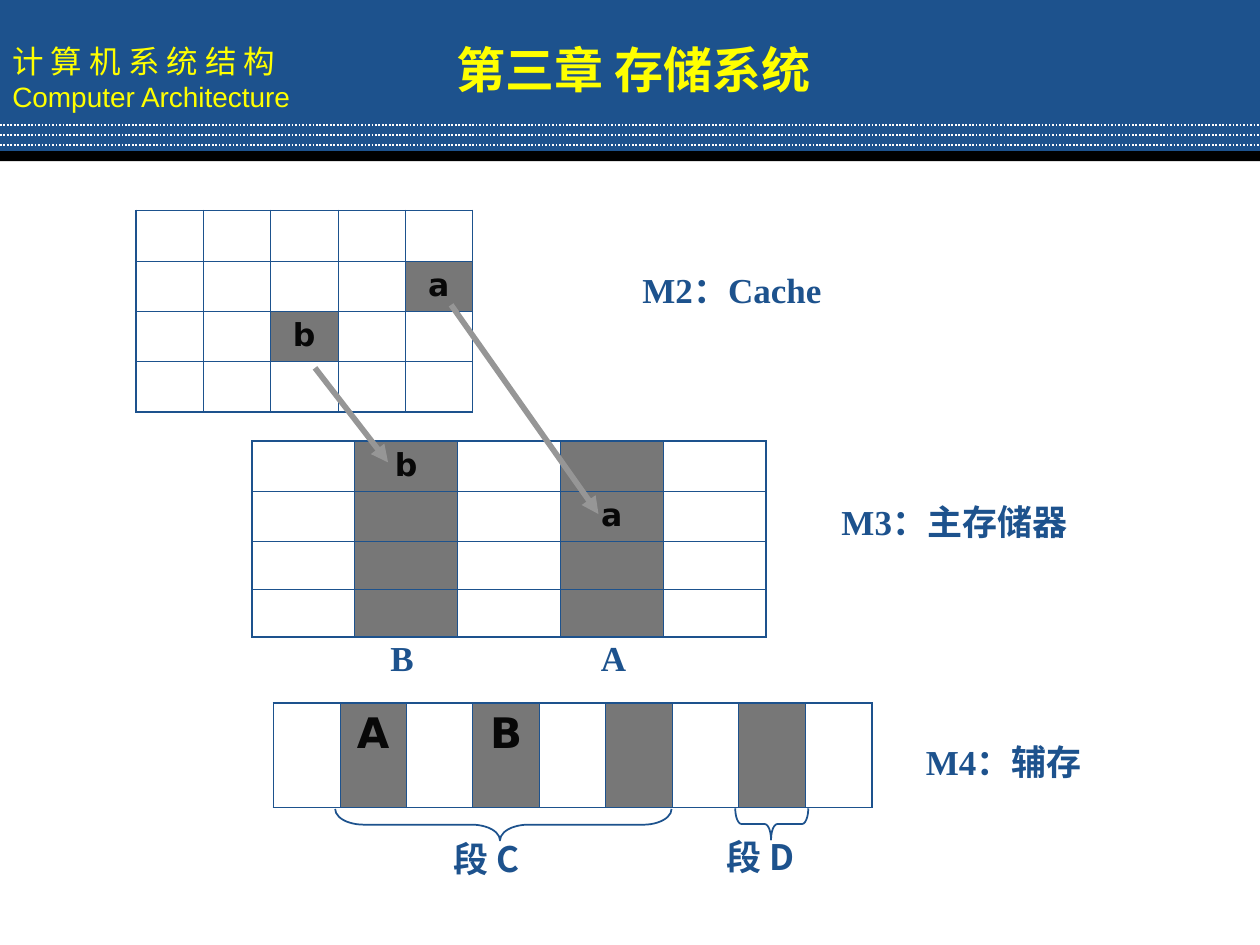
import pptx
import pptx.util
import pptx.dml.color
import pptx.enum.dml
import pptx.enum.shapes
import pptx.enum.text
import pptx.oxml.ns
from lxml import etree

Inches = pptx.util.Inches
Pt = pptx.util.Pt
RGBColor = pptx.dml.color.RGBColor
ALIGN = pptx.enum.text.PP_ALIGN
ANCHOR = pptx.enum.text.MSO_ANCHOR
FIT = pptx.enum.text.MSO_AUTO_SIZE
SHAPE = pptx.enum.shapes.MSO_SHAPE
qn = pptx.oxml.ns.qn

BLUE = RGBColor(0x1D, 0x52, 0x8D)
YELLOW = RGBColor(0xFF, 0xFF, 0x00)
WHITE = RGBColor(0xFF, 0xFF, 0xFF)
BLACK = RGBColor(0x00, 0x00, 0x00)
INK = RGBColor(0x08, 0x08, 0x08)
GRAY = RGBColor(0x77, 0x77, 0x77)
SILVER = RGBColor(0x96, 0x96, 0x96)

HAN = "Noto Sans CJK SC"
SERIF = "Times New Roman"
THIN, THICK = 0.45, 1.08


def inch(*nums):
    return [Inches(num) for num in nums]


def put(frame, text, font=HAN, size=20, color=BLUE, bold=False,
        align=ALIGN.LEFT, more=False):
    """Write one formatted paragraph, or one more after those there."""
    para = frame.add_paragraph() if more else frame.paragraphs[0]
    para.alignment = align
    run = para.add_run()
    run.text = text
    run.font.name = font
    run.font.size = Pt(size)
    run.font.bold = bold
    run.font.color.rgb = color
    # East Asian glyphs need their own typeface
    mark = etree.SubElement(run.font.fill._xPr, qn("a:ea"))
    mark.set("typeface", HAN)


def add_bar(slide, box, color):
    bar = slide.shapes.add_shape(SHAPE.RECTANGLE, *inch(*box))
    bar.shadow.inherit = False
    bar.fill.solid()
    bar.fill.fore_color.rgb = color
    bar.line.fill.background()
    return bar


def add_line(slide, start, end, color, width):
    kind = pptx.enum.shapes.MSO_CONNECTOR.STRAIGHT
    line = slide.shapes.add_connector(kind, *inch(*start, *end))
    line.line.color.rgb = color
    line.line.width = Pt(width)
    etree.SubElement(line.element.spPr, qn("a:effectLst"))
    return line


def add_arrow(slide, start, end):
    arrow = add_line(slide, start, end, SILVER, 3.25)
    tip = etree.SubElement(arrow.line._get_or_add_ln(), qn("a:tailEnd"))
    tip.set("type", "triangle")


def add_label(slide, box, text, font=SERIF):
    label = slide.shapes.add_textbox(*inch(*box))
    frame = label.text_frame
    frame.word_wrap = True
    frame.auto_size = FIT.SHAPE_TO_FIT_TEXT
    put(frame, text, font=font, bold=True)


def add_brace(slide, box, curve, tip):
    brace = slide.shapes.add_shape(SHAPE.RIGHT_BRACE, *inch(*box))
    brace.shadow.inherit = False
    brace.rotation = 90
    brace.adjustments[0] = curve
    brace.adjustments[1] = tip
    brace.fill.background()
    brace.line.color.rgb = BLUE
    brace.line.width = Pt(1)


def set_edge(cell, side, width):
    edge = etree.SubElement(cell._tc.get_or_add_tcPr(), qn("a:ln" + side))
    edge.set("w", str(Pt(width)))
    fill = etree.SubElement(edge, qn("a:solidFill"))
    etree.SubElement(fill, qn("a:srgbClr")).set("val", str(BLUE))


def add_grid(slide, box, cols, rows, dark, marks, size=18):
    """Draw a memory grid: dark cells, letters, and a thicker outer edge."""
    left, top, width, height = box
    table = slide.shapes.add_table(len(rows), cols, *inch(*box)).table
    table.first_row = table.horz_banding = False
    for col in table.columns:
        col.width = Inches(width / cols)
    for r, tall in enumerate(rows):
        table.rows[r].height = Inches(tall)
        for c in range(cols):
            cell = table.cell(r, c)
            outer = {"L": c == 0, "R": c == cols - 1,
                     "T": r == 0, "B": r == len(rows) - 1}
            for side, rim in outer.items():
                set_edge(cell, side, THICK if rim else THIN)
            if (r, c) in dark:
                cell.fill.solid()
                cell.fill.fore_color.rgb = GRAY
            else:
                cell.fill.background()
            if (r, c) in marks:
                put(cell.text_frame, marks[r, c], font="DejaVu Sans",
                    size=size, color=INK, bold=True, align=ALIGN.CENTER)
            else:
                para = cell.text_frame.paragraphs[0]
                end = etree.SubElement(para._p, qn("a:endParaRPr"), sz="1800")
                etree.SubElement(end, qn("a:latin"), typeface=SERIF)


def add_header(slide, box):
    left, top, width, height = box
    # Course name on the blue band
    band = add_bar(slide, box, BLUE)
    frame = band.text_frame
    frame.word_wrap = True
    frame.vertical_anchor = ANCHOR.MIDDLE
    put(frame, "计 算 机 系 统 结 构", size=18, color=YELLOW)
    put(frame, "Computer Architecture", font="Arial", size=16,
        color=YELLOW, more=True)
    add_bar(slide, (left, top + height - 0.03, width, 0.08), BLACK)
    # Three dotted rules
    for i in range(3):
        y = top + 0.99 + 0.08 * i
        rule = add_line(slide, (left, y), (left + width, y), WHITE, 1)
        rule.line.dash_style = pptx.enum.dml.MSO_LINE.ROUND_DOT
    # Chapter title, brought in front of the band
    title = slide.shapes.title
    title.left, title.top, title.width, title.height = inch(
        left + 3.22, top + 0.18, 3.61, 0.65)
    title.fill.solid()
    title.fill.fore_color.rgb = BLUE
    title.text_frame.auto_size = FIT.NONE
    title.text_frame.vertical_anchor = ANCHOR.BOTTOM
    put(title.text_frame, "第三章 存储系统", size=28, color=YELLOW,
        bold=True, align=ALIGN.CENTER)
    title.element.getparent().append(title.element)


def add_cache(slide, box):
    left, top, width, height = box
    marks = {(1, 4): "a", (2, 2): "b"}
    add_grid(slide, box, 5, [0.39, 0.4, 0.4, 0.39], marks, marks)
    add_label(slide, (left + 3.92, top + 0.41, 2.92, 0.94), "M2：Cache")


def add_main(slide, box):
    left, top, width, height = box
    dark = [(r, c) for r in range(4) for c in (1, 3)]
    add_grid(slide, box, 5, [0.4, 0.4, 0.33, 0.35], dark,
             {(0, 1): "b", (1, 3): "a"})
    add_label(slide, (left + 1, top + 1.5, 0.67, 0.44), "B")
    add_label(slide, (left + 2.67, top + 1.5, 0.75, 0.44), "A")
    add_label(slide, (left + 4.58, top + 0.42, 2.08, 0.44), "M3：主存储器")


def add_disk(slide, box):
    left, top, width, height = box
    dark = [(0, c) for c in (1, 3, 5, 7)]
    add_grid(slide, box, 9, [height], dark,
             {(0, 1): "A", (0, 3): "B"}, size=24)
    add_label(slide, (left + 5.08, top + 0.25, 1.83, 0.44), "M4：辅存")
    # Segments under the strip
    add_brace(slide, (left + 1.7, top - 0.37, 0.25, 2.67), 0.9, 0.51)
    add_brace(slide, (left + 3.83, top + 0.67, 0.25, 0.58), 0.2, 0.51)
    add_label(slide, (left + 1.33, top + 1.02, 1.33, 0.44), "段 C", HAN)
    add_label(slide, (left + 3.5, top + 1, 1.33, 0.44), "段 D", HAN)


def main():
    deck = pptx.Presentation()
    deck.slide_width, deck.slide_height = inch(10, 7.5)
    slide = deck.slides.add_slide(deck.slide_layouts[5])
    add_header(slide, (0, 0, 10, 1.23))
    add_main(slide, (2, 3.5, 4.08, 1.48))
    add_disk(slide, (2.17, 5.58, 4.75, 0.83))
    add_cache(slide, (1.08, 1.67, 2.67, 1.58))
    # Cache blocks map to main memory
    add_arrow(slide, (2.5, 2.92), (3.08, 3.67))
    add_arrow(slide, (3.58, 2.42), (4.75, 4.08))
    deck.save("out.pptx")


if __name__ == "__main__":
    main()
